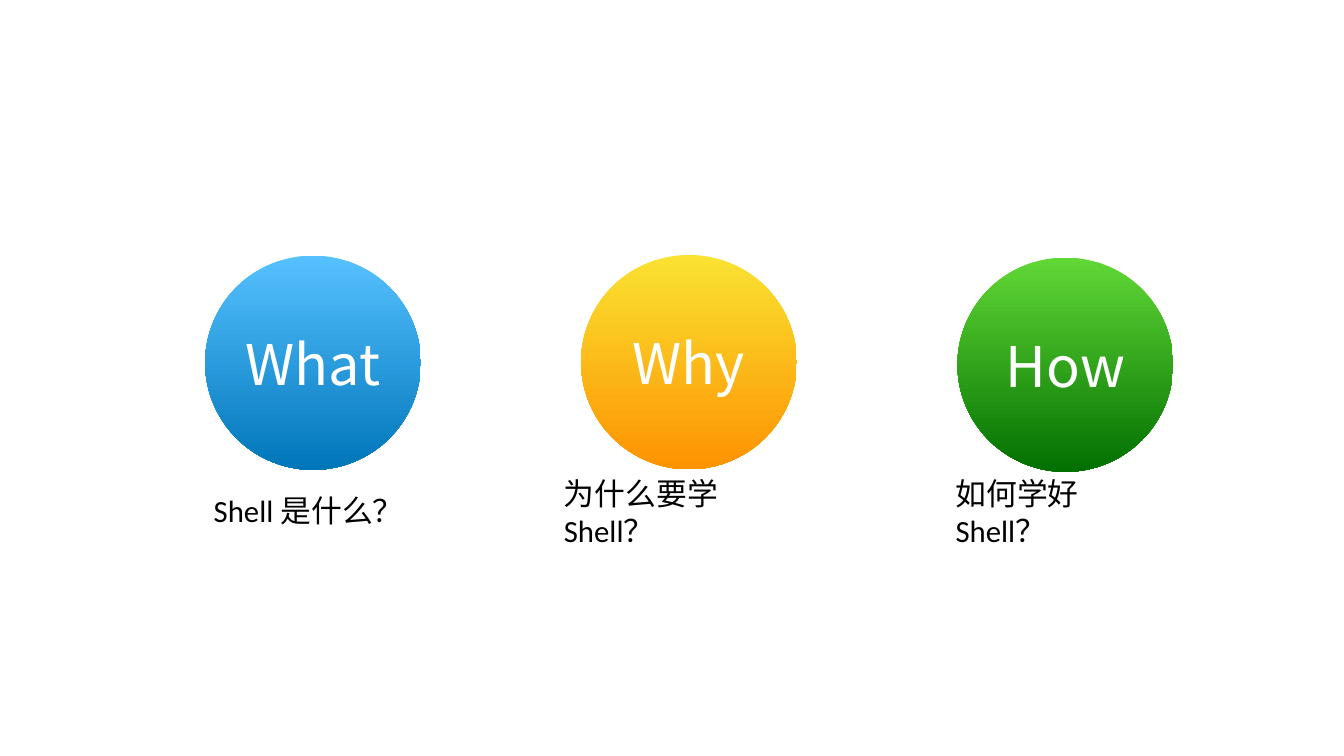
from lxml import etree
from pptx import Presentation
from pptx.dml.color import RGBColor
from pptx.enum import shapes, text
from pptx.oxml.ns import qn
from pptx.util import Cm, Pt

CJK_FONT = "Noto Sans CJK SC"
INSET = 0.2
CIRCLE_W, CIRCLE_H = 10.87, 10.8
CAPTION_H = 2.59
CAPTION_TEXT_W = 10.01

# word, circle left/top, top and bottom colours, caption, caption left/top/width
TOPICS = [
    ("What", 10.34, 12.88, "56C1FF", "0076BA", "Shell 是什么？", 10.57, 24.43, 10.41),
    ("Why", 29.29, 12.85, "FAE232", "FE9301", "为什么要学 Shell？", 28.22, 24.51, 13.54),
    ("How", 48.26, 12.98, "61D836", "027001", "如何学好 Shell？", 47.96, 24.49, 11.96),
]


def rgb(value):
    return RGBColor.from_string(value)


def set_text(sp, words, font, size, color, right_inset=INSET):
    tf = sp.text_frame
    tf.text = words
    tf.word_wrap = True
    tf.vertical_anchor = text.MSO_ANCHOR.MIDDLE
    tf.margin_left = tf.margin_top = tf.margin_bottom = Cm(INSET)
    tf.margin_right = Cm(right_inset)
    p = tf.paragraphs[0]
    r = p.runs[0]
    r.font.name = font
    r.font.size = Pt(size)
    r.font.color.rgb = rgb(color)
    etree.SubElement(r.font._element, qn("a:ea")).set("typeface", CJK_FONT)
    return p


def add_circle(group, word, left, top, light, dark):
    sp = group.shapes.add_shape(shapes.MSO_SHAPE.OVAL, Cm(left), Cm(top),
                                Cm(CIRCLE_W), Cm(CIRCLE_H))
    sp.shadow.inherit = False
    sp.line.fill.background()
    sp.fill.gradient()
    sp.fill.gradient_angle = 270
    for stop, color, position in zip(sp.fill.gradient_stops, (light, dark), (0, 1)):
        stop.color.rgb = rgb(color)
        stop.position = position
    p = set_text(sp, word, CJK_FONT, 80, "FFFFFF")
    p.alignment = text.PP_ALIGN.CENTER


def add_caption(group, words, left, top, width):
    """Add a caption whose text column has the same width on every topic."""
    sp = group.shapes.add_textbox(Cm(left), Cm(top), Cm(width), Cm(CAPTION_H))
    p = set_text(sp, words, "Calibri", 44, "000000",
                 right_inset=width - INSET - CAPTION_TEXT_W)
    p.space_before = Pt(59)


def main():
    prs = Presentation()
    prs.slide_width, prs.slide_height = Cm(67.74), Cm(38.1)
    s = prs.slides.add_slide(prs.slide_layouts[6])
    for word, x, y, light, dark, caption, left, top, width in TOPICS:
        group = s.shapes.add_group_shape()
        add_circle(group, word, x, y, light, dark)
        add_caption(group, caption, left, top, width)
    prs.save("out.pptx")


if __name__ == "__main__":
    main()
